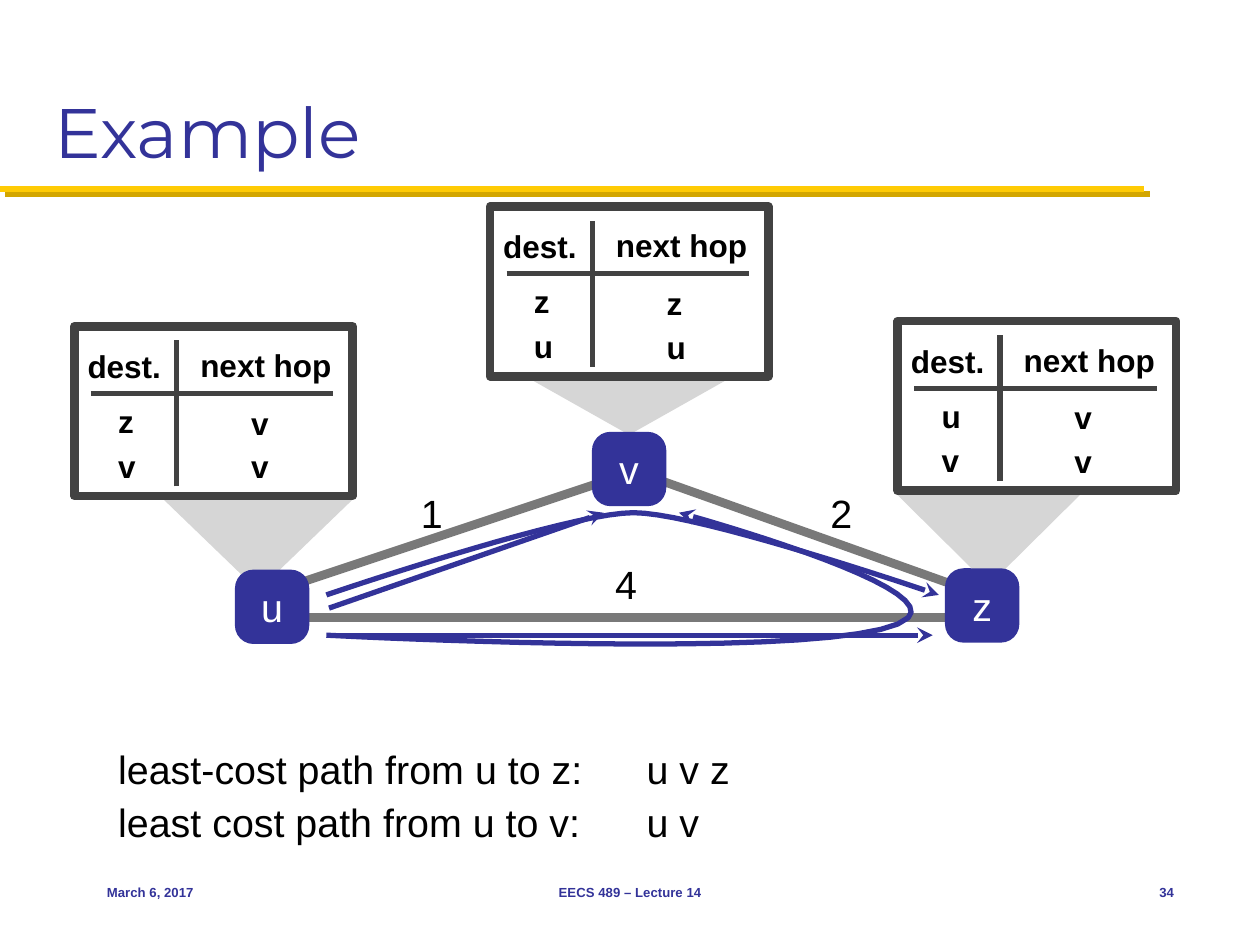
from lxml.etree import SubElement
from pptx import Presentation
from pptx.dml.color import RGBColor
from pptx.enum.shapes import MSO_CONNECTOR as Connector, MSO_SHAPE as Preset
from pptx.enum.text import MSO_ANCHOR as Anchor, PP_ALIGN as Align
from pptx.oxml.ns import qn
from pptx.util import Pt

BLUE, GREY, DARK, GOLD = "333399", "797979", "424242", "FFCB05"
color = RGBColor.from_string

deck = Presentation()
deck.slide_width, deck.slide_height = Pt(720), Pt(540)
page = deck.slides.add_slide(deck.slide_layouts[6])
shapes = page.shapes


def add_text(frame, text, size, hue="000000", bold=False, align=Align.LEFT,
             anchor=Anchor.MIDDLE, inset=(3, 3)):
    frame.word_wrap = True
    frame.vertical_anchor = anchor
    frame.margin_left = frame.margin_right = Pt(inset[0])
    frame.margin_top = frame.margin_bottom = Pt(inset[1])
    para = frame.paragraphs[0]
    para.alignment = align
    span = para.add_run()
    span.text = text
    span.font.name = "Montserrat" if size == 40 else "Arial"
    span.font.size = Pt(size)
    span.font.bold = bold
    span.font.color.rgb = color(hue)


def stroke(shape, hue, width, arrow=False):
    shape.line.color.rgb = color(hue)
    shape.line.width = Pt(width)
    props = shape._element.spPr
    if arrow:
        SubElement(props.find(qn("a:ln")), qn("a:tailEnd"), type="stealth")
    return SubElement(props, qn("a:effectLst"))


rule = shapes.add_connector(Connector.STRAIGHT, Pt(0), Pt(108), Pt(654), Pt(108))
effects = stroke(rule, GOLD, 3.5)
shadow = SubElement(effects, qn("a:outerShdw"), dist=str(Pt(4.2)), dir="2700000",
                    algn="ctr", rotWithShape="0")
SubElement(shadow, qn("a:srgbClr"), val="D3A600")

for left, top, width, height in [(512.5, 282.5, 105, 52), (304.5, 217.5, 110, 31),
                                 (92.5, 284.5, 110, 53)]:
    outline = shapes.build_freeform(Pt(left), Pt(top))
    outline.add_line_segments([(Pt(left + width), Pt(top)),
                               (Pt(left + width / 2), Pt(top + height))])
    callout = outline.convert_to_shape()
    callout.shadow.inherit = False
    callout.fill.solid()
    callout.fill.fore_color.rgb = color("D6D6D6")
    callout.line.fill.background()

for cost, left, top in [("4", 348.5, 317), ("1", 237.5, 276.5), ("2", 471.5, 276.5)]:
    box = shapes.add_textbox(Pt(left), Pt(top), Pt(21), Pt(33))
    add_text(box.text_frame, cost, 22.5)

for x1, y1, x2, y2 in [(350, 273.5, 168.5, 334), (173.5, 353, 556.5, 353),
                       (374.5, 273.5, 557, 338.5)]:
    link = shapes.add_connector(Connector.STRAIGHT, Pt(x1), Pt(y1), Pt(x2), Pt(y2))
    stroke(link, GREY, 5)

for name, left, top in [("v", 338.25, 246.75), ("u", 134.25, 325.5), ("z", 540, 324.75)]:
    node = shapes.add_shape(Preset.ROUNDED_RECTANGLE, Pt(left), Pt(top), Pt(42.5), Pt(42.5))
    node.adjustments[0] = 0.25
    node.shadow.inherit = False
    node.fill.solid()
    node.fill.fore_color.rgb = color(BLUE)
    node.line.fill.background()
    add_text(node.text_frame, name, 22.5, "FFFFFF", align=Align.CENTER, inset=(0, 0))

answers = [("least-cost path from u to z:", "u v z"), ("least cost path from u to v:", "u v")]
for row, (question, answer) in enumerate(answers):
    for text, left, width in [(question, 64.5, 292), (answer, 366.5, 65)]:
        box = shapes.add_textbox(Pt(left), Pt(423 + 30 * row), Pt(width), Pt(33))
        add_text(box.text_frame, text, 22.5)

routing = [(280, 118, "zu", "zu"), (42.5, 186.5, "zv", "vv"), (513, 183.5, "uv", "vv")]
for left, top, targets, hops in routing:
    border = shapes.add_shape(Preset.RECTANGLE, Pt(left), Pt(top), Pt(159), Pt(97))
    border.fill.background()
    stroke(border, DARK, 5)
    for x1, y1, x2, y2 in [(9.5, 38.5, 148, 38.5), (58.5, 91.5, 58.5, 8)]:
        divider = shapes.add_connector(Connector.STRAIGHT, Pt(left + x1), Pt(top + y1),
                                       Pt(left + x2), Pt(top + y2))
        stroke(divider, DARK, 3)
    cells = [("dest.", 4.5, 6, 112, 33), ("next hop", 69, 5.5, 89, 33)]
    for row in range(2):
        cells.append((targets[row], 22, 35.5 + 25.5 * row, 35, 37))
        cells.append((hops[row], 98, 36.5 + 25 * row, 19, 37))
    for text, x, y, width, height in cells:
        box = shapes.add_textbox(Pt(left + x), Pt(top + y), Pt(width), Pt(height))
        add_text(box.text_frame, text, 18, bold=True)

for x1, y1, x2, y2 in [(190, 363, 533, 363), (188, 347.5, 345, 293)]:
    route = shapes.add_connector(Connector.STRAIGHT, Pt(x1), Pt(y1), Pt(x2), Pt(y2))
    stroke(route, BLUE, 3, arrow=True)

curves = [
    [(186.5, 340), (186.5, 340), (324.5, 293), (362, 293),
     (399.5, 293), (536.5, 340), (536.5, 340)],
    [(186.5, 363), (186.5, 363), (492.5, 379.5), (519, 353),
     (538, 334), (388, 293), (388, 293)],
]
STEPS = 20
for knots in curves:
    points = []
    for start in (0, 3):
        for step in range(1, STEPS + 1):
            t = step / STEPS
            weights = ((1 - t) ** 3, 3 * t * (1 - t) ** 2, 3 * t ** 2 * (1 - t), t ** 3)
            points.append(tuple(
                Pt(sum(w * knot[axis] for w, knot in zip(weights, knots[start:start + 4])))
                for axis in (0, 1)))
    outline = shapes.build_freeform(Pt(knots[0][0]), Pt(knots[0][1]))
    outline.add_line_segments(points, close=False)
    route = outline.convert_to_shape()
    route.fill.background()
    stroke(route, BLUE, 3, arrow=True)

title = shapes.add_textbox(Pt(24), Pt(12), Pt(672), Pt(90))
add_text(title.text_frame, "Example", 40, BLUE, anchor=Anchor.BOTTOM, inset=(7.2, 3.6))

for text, left, width, align in [("March 6, 2017", 54, 150, Align.LEFT),
                                 ("EECS 489 – Lecture 14", 246, 228, Align.CENTER),
                                 ("34", 630, 48, Align.RIGHT)]:
    box = shapes.add_textbox(Pt(left), Pt(492), Pt(width), Pt(36))
    add_text(box.text_frame, text, 7.5, BLUE, bold=True, align=align, inset=(7.2, 3.6))

deck.save("out.pptx")
